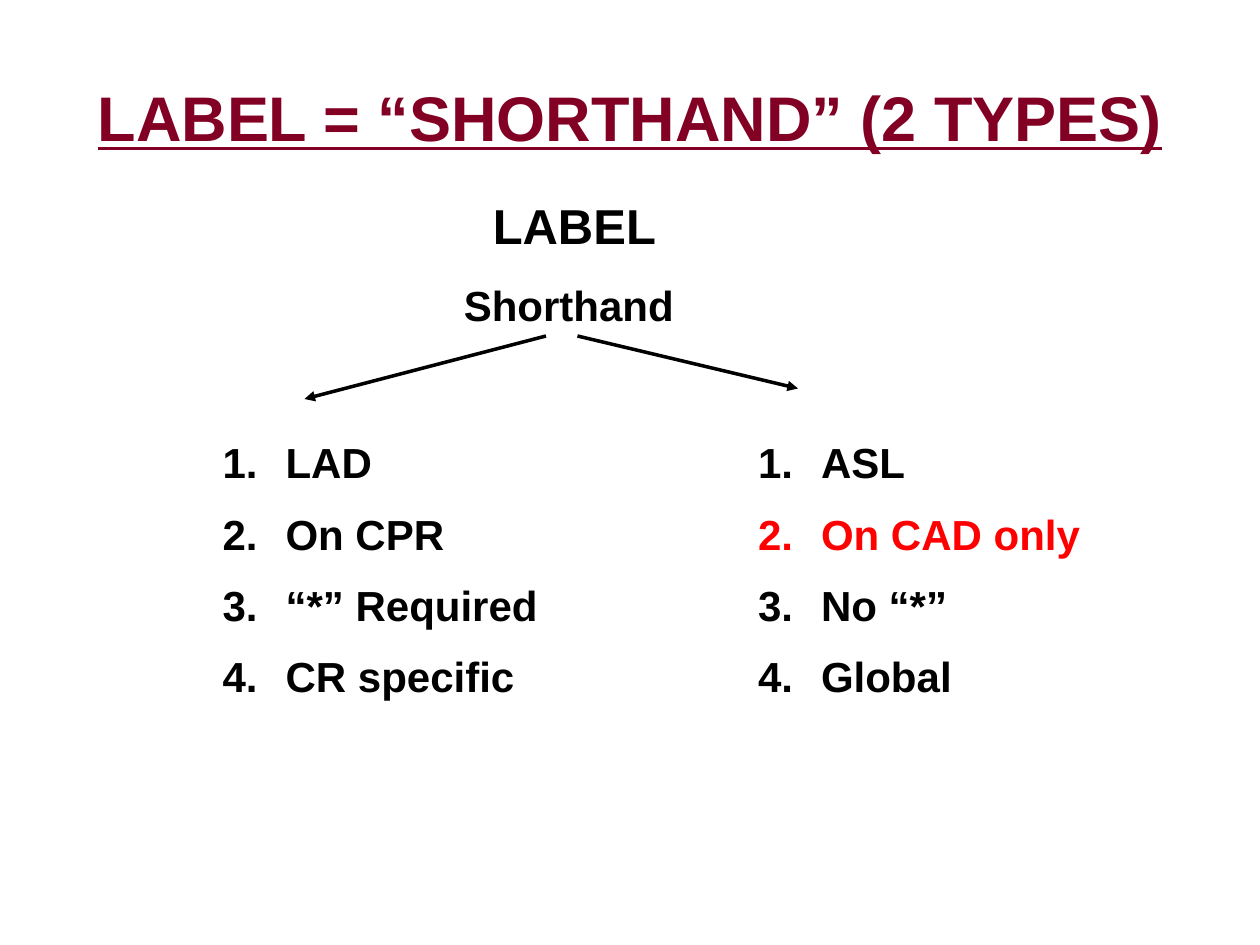
from lxml.etree import SubElement
from pptx import Presentation
from pptx.dml.color import RGBColor
from pptx.enum.shapes import MSO_CONNECTOR
from pptx.enum.text import MSO_ANCHOR, MSO_AUTO_SIZE, PP_ALIGN
from pptx.oxml.ns import qn
from pptx.util import Pt

COLORS = {"title": "820024", "text": "000000", "accent": "FF0000"}
FONT = "Arial"


def place(shape, box):
    shape.left, shape.top, shape.width, shape.height = [Pt(side) for side in box]
    shape.text_frame.word_wrap = True
    shape.text_frame.auto_size = MSO_AUTO_SIZE.NONE


def add_span(para, text, size, color="text"):
    span = para.add_run()
    span.text = text
    span.font.name = FONT
    span.font.size = Pt(size)
    span.font.bold = True
    span.font.color.rgb = RGBColor.from_string(COLORS[color])
    return span


def add_half_line_before(para):
    spacing = SubElement(para._p.get_or_add_pPr(), qn("a:spcBef"))
    SubElement(spacing, qn("a:spcPct"), val="50000")


def number_para(para, indent):
    properties = para._p.get_or_add_pPr()
    properties.set("marL", str(Pt(indent)))
    properties.set("indent", str(Pt(-indent)))
    SubElement(properties, qn("a:buFontTx"))
    SubElement(properties, qn("a:buAutoNum"), type="arabicPeriod")


def fill_title(title, box, text):
    place(title, box)
    title.text_frame.vertical_anchor = MSO_ANCHOR.MIDDLE
    para = title.text_frame.paragraphs[0]
    para.alignment = PP_ALIGN.CENTER
    add_span(para, text, 36, "title").font.underline = True


def add_heading(page, box, text, size):
    heading = page.shapes.add_textbox(0, 0, 0, 0)
    place(heading, box)
    para = heading.text_frame.paragraphs[0]
    add_half_line_before(para)
    add_span(para, text, size)


def fill_list(body, box, items):
    place(body, box)
    frame = body.text_frame
    for index, (text, color) in enumerate(items):
        para = frame.add_paragraph() if index else frame.paragraphs[0]
        add_half_line_before(para)
        number_para(para, 36)
        add_span(para, text, 24, color)


def add_arrow(page, start, end):
    points = [Pt(value) for value in (*start, *end)]
    arrow = page.shapes.add_connector(MSO_CONNECTOR.STRAIGHT, *points)
    arrow.line.width = Pt(2)
    arrow.line.color.rgb = RGBColor.from_string(COLORS["text"])
    SubElement(arrow.line._get_or_add_ln(), qn("a:tailEnd"), type="triangle")
    SubElement(arrow._element.spPr, qn("a:effectLst"))


def build_label_page(deck):
    page = deck.slides.add_slide(deck.slide_layouts.get_by_name("Two Content"))
    title, left_list, right_list = page.placeholders
    fill_title(title, (36, 21.6, 648, 90), "LABEL = “SHORTHAND” (2 TYPES)")
    add_heading(page, (274.5, 108, 132, 41), "LABEL", 28)
    add_heading(page, (258, 156, 138, 36), "Shorthand", 24)
    fill_list(left_list, (120, 246, 204, 166), [
        ("LAD", "text"),
        ("On CPR", "text"),
        ("“*” Required", "text"),
        ("CR specific", "text"),
    ])
    fill_list(right_list, (426, 246, 210, 166), [
        ("ASL", "text"),
        ("On CAD only", "accent"),
        ("No “*”", "text"),
        ("Global", "text"),
    ])
    add_arrow(page, (312, 192), (174, 228))
    add_arrow(page, (330, 192), (456, 222))


def main():
    deck = Presentation()
    deck.slide_width, deck.slide_height = Pt(720), Pt(540)
    build_label_page(deck)
    deck.save("out.pptx")


if __name__ == "__main__":
    main()
